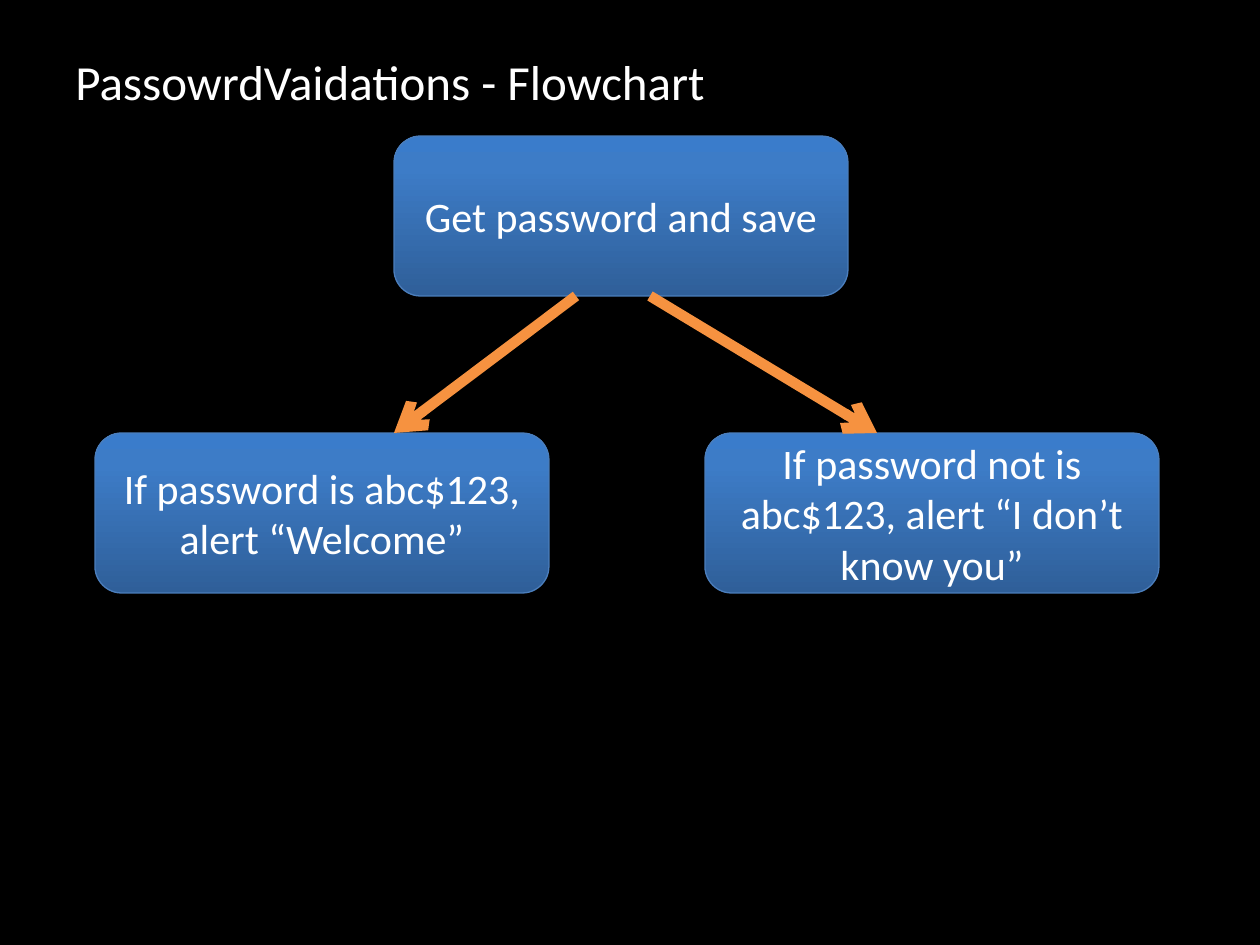
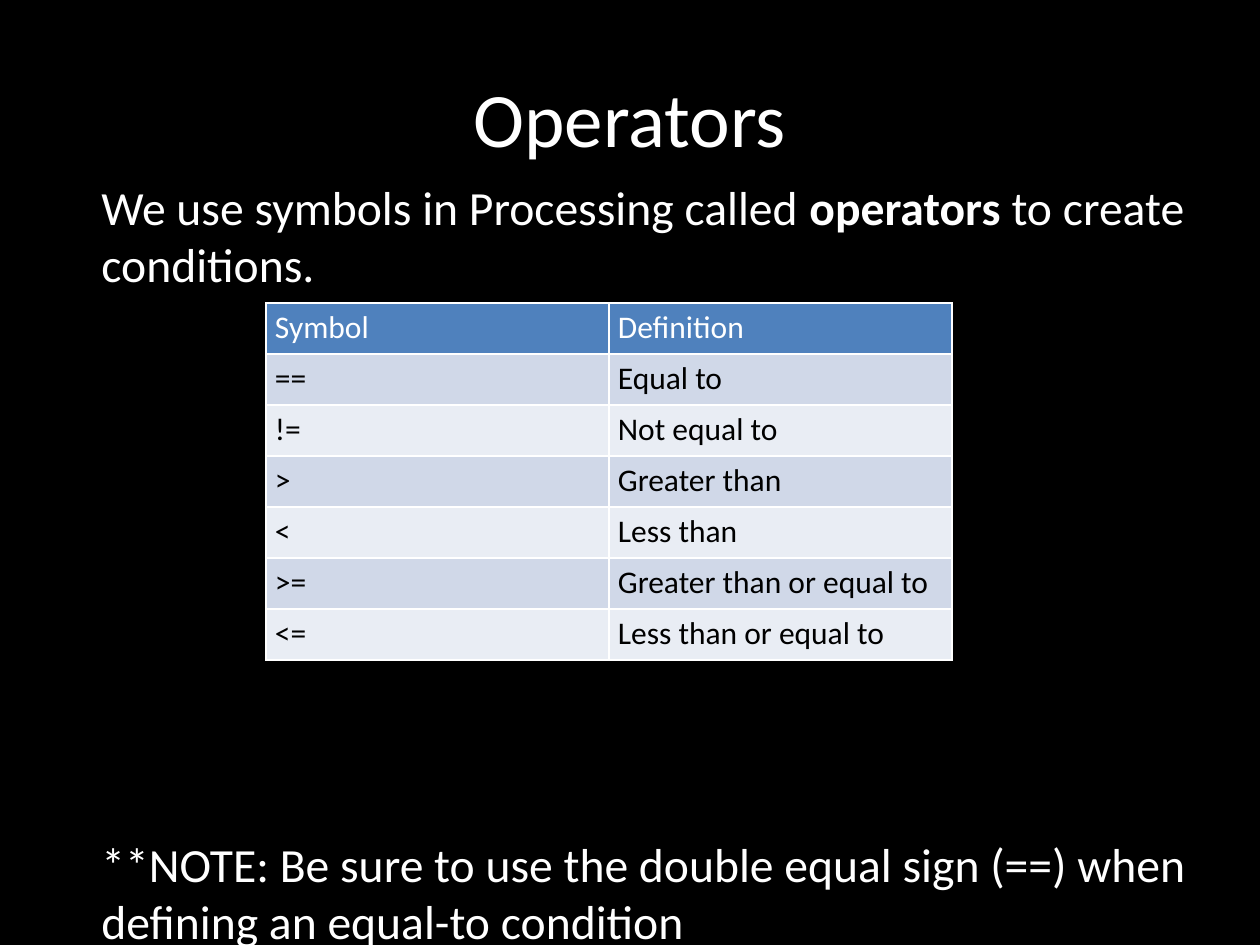
from copy import deepcopy

from lxml.etree import SubElement
from pptx import Presentation
from pptx.dml.color import RGBColor
from pptx.enum.shapes import MSO_CONNECTOR, MSO_SHAPE
from pptx.enum.text import MSO_ANCHOR, PP_ALIGN
from pptx.oxml.ns import qn
from pptx.util import Emu, Pt

# Slide 1 content
FLOW_TITLE = "PassowrdVaidations - Flowchart"
STEP_SIZE = (454, 160)
STEPS = [  # left, top, text
    (394, 136, "Get password and save"),
    (95, 433, "If password is abc$123, alert “Welcome”"),
    (705, 433, "If password not is abc$123, alert “I don’t know you”"),
]
ARROWS = [(576, 296, 394, 433), (650, 296, 877, 433)]

# Slide 2 content
OPERATORS_TITLE = "Operators"
INTRO = [("We use symbols in Processing called ", False), ("operators", True),
         (" to create conditions.", False)]
NOTE = [("**NOTE: Be sure to use the double equal sign (==) when "
         "defining an equal-to condition", False)]
OPERATORS = [
    ("Symbol", "Definition"),
    ("==", "Equal to"),
    ("!=", "Not equal to"),
    (">", "Greater than"),
    ("<", "Less than"),
    (">=", "Greater than or equal to"),
    ("<=", "Less than or equal to"),
]
TABLE_LEFT, TABLE_TOP, COLUMN_WIDTH, ROW_HEIGHT = 266, 303, 343, 51

# Shared style
FONT = "Calibri"
BLACK, WHITE, ORANGE = "000000", "FFFFFF", "F69240"
STEP_LINE = "4B7EBC"
STEP_GRADIENT = [(0, "2F5F99"), (0.8, "3D7CC7"), (1, "3A7CCB")]
HEADER_FILL, ROW_FILLS = "4F81BD", ("D0D8E8", "E9EDF4")


def px(length):
    return Emu(round(length * 914400 / 126))


def color(value):
    return RGBColor.from_string(value)


def style(span, size, ink=WHITE, bold=False):
    span.font.name = FONT
    span.font.size = Pt(size)
    span.font.bold = bold
    span.font.color.rgb = color(ink)


def add_page(deck):
    page = deck.slides.add_slide(deck.slide_layouts[6])
    page.background.fill.solid()
    page.background.fill.fore_color.rgb = color(BLACK)
    return page


def add_text(page, place, spans, size, align=PP_ALIGN.LEFT, anchor=MSO_ANCHOR.TOP):
    frame = page.shapes.add_textbox(*map(px, place)).text_frame
    frame.word_wrap = True
    frame.vertical_anchor = anchor
    para = frame.paragraphs[0]
    para.alignment = align
    for text, bold in spans:
        span = para.add_run()
        span.text = text
        style(span, size, bold=bold)


def add_title(page, text, height, size, align):
    add_text(page, (63, 38, 1134, height), [(text, False)], size, align, MSO_ANCHOR.MIDDLE)


def fill_gradient(shape):
    shape.fill.gradient()
    shape.fill.gradient_angle = 90
    # The default gradient has two stops; a third is cloned in
    stop_list = shape._element.spPr.find(qn("a:gradFill")).find(qn("a:gsLst"))
    stop_list.append(deepcopy(stop_list[-1]))
    for stop, (position, value) in zip(shape.fill.gradient_stops, STEP_GRADIENT):
        stop.position = position
        stop.color.rgb = color(value)


def add_step(page, left, top, text):
    box = page.shapes.add_shape(MSO_SHAPE.ROUNDED_RECTANGLE,
                                *map(px, (left, top, *STEP_SIZE)))
    box.shadow.inherit = False
    fill_gradient(box)
    box.line.color.rgb = color(STEP_LINE)
    box.line.width = Pt(0.75)
    frame = box.text_frame
    frame.text = text
    frame.word_wrap = True
    frame.vertical_anchor = MSO_ANCHOR.MIDDLE
    para = frame.paragraphs[0]
    para.alignment = PP_ALIGN.CENTER
    style(para.runs[0], 24)


def add_arrow(page, ends):
    arrow = page.shapes.add_connector(MSO_CONNECTOR.STRAIGHT, *map(px, ends))
    arrow.line.color.rgb = color(ORANGE)
    arrow.line.width = Pt(6)
    properties = arrow._element.spPr
    SubElement(properties.find(qn("a:ln")), qn("a:tailEnd"), type="arrow")
    SubElement(properties, qn("a:effectLst"))


def add_borders(cell):
    properties = cell._tc.get_or_add_tcPr()
    for index, side in enumerate(("a:lnL", "a:lnR", "a:lnT", "a:lnB")):
        line = SubElement(properties, qn(side), w=str(Pt(1)))
        fill = SubElement(line, qn("a:solidFill"))
        SubElement(fill, qn("a:srgbClr"), val=WHITE)
        properties.insert(index, line)  # borders come before the fill


def add_operator_table(page):
    rows, columns = len(OPERATORS), len(OPERATORS[0])
    place = (TABLE_LEFT, TABLE_TOP, COLUMN_WIDTH * columns, ROW_HEIGHT * rows)
    table = page.shapes.add_table(rows, columns, *map(px, place)).table
    for column in table.columns:
        column.width = px(COLUMN_WIDTH)
    for row_index, texts in enumerate(OPERATORS):
        header = row_index == 0
        table.rows[row_index].height = px(ROW_HEIGHT)
        for column_index, text in enumerate(texts):
            cell = table.cell(row_index, column_index)
            cell.text = text
            cell.margin_left = cell.margin_right = px(9)
            cell.margin_top = cell.margin_bottom = px(6)
            cell.fill.solid()
            cell.fill.fore_color.rgb = color(
                HEADER_FILL if header else ROW_FILLS[(row_index - 1) % 2])
            style(cell.text_frame.paragraphs[0].runs[0], 18, WHITE if header else BLACK)
            add_borders(cell)


def main():
    deck = Presentation()
    deck.slide_width, deck.slide_height = px(1260), px(945)

    # Flowchart
    page = add_page(deck)
    add_title(page, FLOW_TITLE, 86, 28, PP_ALIGN.LEFT)
    for step in STEPS:
        add_step(page, *step)
    for ends in ARROWS:
        add_arrow(page, ends)

    # Operators
    page = add_page(deck)
    add_title(page, OPERATORS_TITLE, 158, 44, PP_ALIGN.CENTER)
    for top, spans in ((172, INTRO), (829, NOTE)):
        add_text(page, (89, top, 1118, 116), spans, 27.2)
    add_operator_table(page)

    deck.save("out.pptx")


if __name__ == "__main__":
    main()
